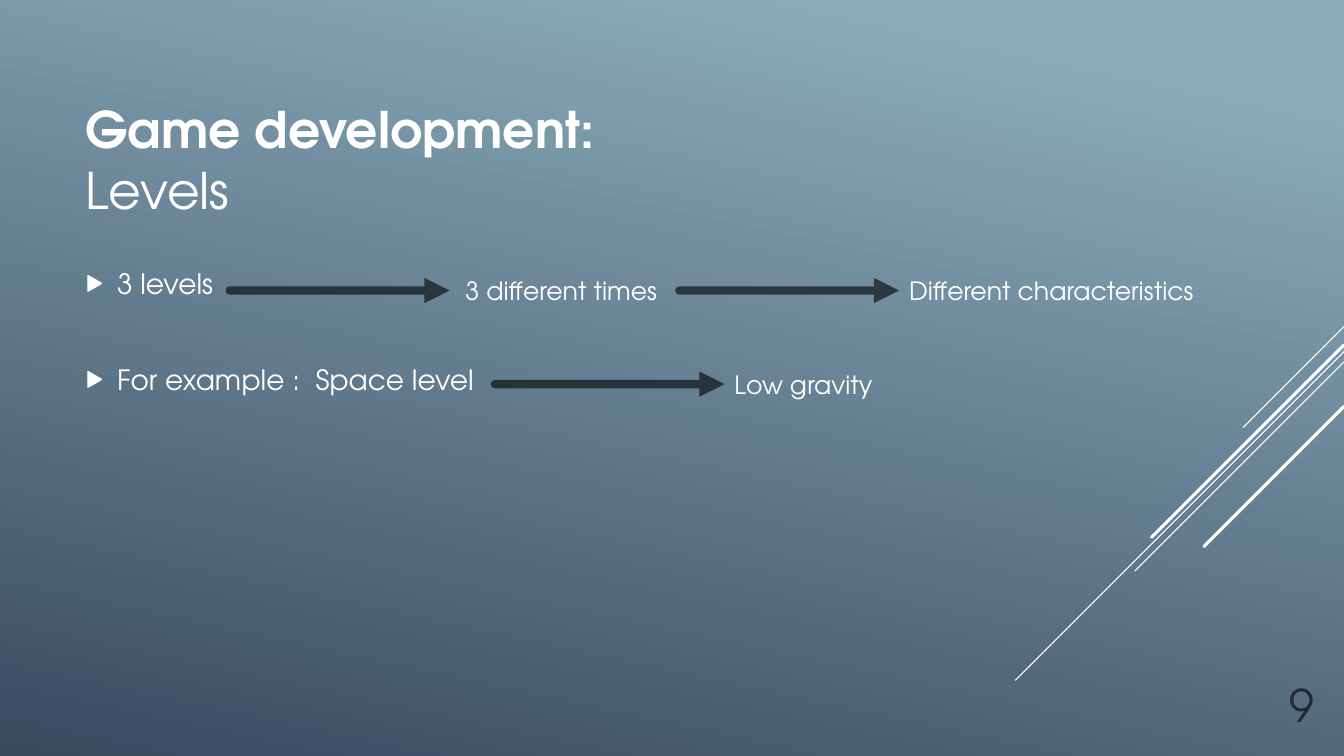
from dataclasses import dataclass

from lxml.etree import SubElement
from pptx import Presentation
from pptx.dml.color import RGBColor
from pptx.enum.shapes import MSO_CONNECTOR as Connector
from pptx.enum.text import MSO_ANCHOR as Anchor, PP_ALIGN as Align
from pptx.oxml.ns import qn
from pptx.util import Cm, Pt


@dataclass(frozen=True)
class Theme:
    font: str = "TeX Gyre Adventor"
    light: str = "FFFFFF"
    dark: str = "222A35"
    arrow: str = "000000"
    sky: str = "8AACBB"
    dusk: str = "394A61"
    title_size: int = 36
    number_size: int = 32
    body_size: int = 20
    label_size: int = 18


class SlideBuilder:
    def __init__(self, page, theme):
        self.page = page
        self.theme = theme

    def background(self):
        fill = self.page.background.fill
        fill.gradient()
        fill.gradient_angle = 258
        stops = zip(fill.gradient_stops, (0.1, 1), (self.theme.sky, self.theme.dusk))
        for stop, position, color in stops:
            stop.position = position
            stop.color.rgb = RGBColor.from_string(color)

    def line(self, start, end, color, width):
        connector = self.page.shapes.add_connector(
            Connector.STRAIGHT, *(Cm(value) for value in (*start, *end)))
        connector.line.color.rgb = RGBColor.from_string(color)
        connector.line.width = Pt(width)
        properties = connector._element.spPr
        SubElement(properties, qn("a:effectLst"))
        outline = properties.find(qn("a:ln"))
        outline.set("cap", "rnd")
        SubElement(outline, qn("a:round"))
        return outline

    def arrow(self, left, middle, length):
        outline = self.line((left, middle), (left + length, middle), self.theme.arrow, 6)
        color = outline.find(qn("a:solidFill")).find(qn("a:srgbClr"))
        SubElement(color, qn("a:alpha"), val="60000")
        SubElement(outline, qn("a:tailEnd"), type="triangle")

    def box(self, left, top, width, height, anchor=Anchor.TOP):
        box = self.page.shapes.add_textbox(Cm(left), Cm(top), Cm(width), Cm(height))
        frame = box.text_frame
        frame.word_wrap = True
        frame.vertical_anchor = anchor
        return frame

    def span(self, para, text, size, color=None, bold=False):
        span = para.add_run()
        span.text = text
        span.font.name = self.theme.font
        span.font.size = Pt(size)
        span.font.bold = bold
        span.font.color.rgb = RGBColor.from_string(color or self.theme.light)

    def title(self, heading, topic):
        para = self.box(1.91, 1.91, 23.7, 4.19, Anchor.MIDDLE).paragraphs[0]
        self.span(para, heading, self.theme.title_size, bold=True)
        para.add_line_break()
        self.span(para, topic, self.theme.title_size)

    def bullets(self, items):
        frame = self.box(1.91, 6.6, 23.7, 10.03)
        for index, item in enumerate(items):
            para = frame.add_paragraph() if index else frame.paragraphs[0]
            properties = para._p.get_or_add_pPr()
            properties.set("marL", str(Cm(0.79)))
            properties.set("indent", str(Cm(-0.79)))
            color = SubElement(properties, qn("a:buClr"))
            SubElement(color, qn("a:srgbClr"), val=self.theme.light)
            SubElement(properties, qn("a:buSzPct"), val="80000")
            SubElement(properties, qn("a:buFont"), typeface=self.theme.font)
            SubElement(properties, qn("a:buChar"), char="▶")
            if index:
                para.space_before = Pt(44.5)
            self.span(para, item, self.theme.body_size)

    def label(self, text, left, middle, width):
        para = self.box(left, middle - 0.51, width, 1.02).paragraphs[0]
        self.span(para, text, self.theme.label_size)

    def number(self, text):
        para = self.box(30.2, 16.71, 3.18, 1.85, Anchor.BOTTOM).paragraphs[0]
        para.alignment = Align.RIGHT
        self.span(para, text, self.theme.number_size, self.theme.dark)


def main():
    deck = Presentation()
    deck.slide_width, deck.slide_height = Cm(33.87), Cm(19.05)
    theme = Theme()
    builder = SlideBuilder(deck.slides.add_slide(deck.slide_layouts[6]), theme)
    builder.background()

    right_edge = 33.87
    diagonals = [(8.23, 2.54, 0.75), (8.86, 8.28, 0.75), (9.12, 5.27, 0.75),
                 (8.69, 4.85, 2.25), (10.24, 3.53, 2.25)]
    for top, run, width in diagonals:
        builder.line((right_edge, top), (right_edge - run, top + run), theme.light, width)

    builder.title("Game development:", "Levels")
    builder.bullets(["3 levels", "For example :  Space level"])
    builder.number("9")

    levels_row, example_row = 7.32, 9.68
    steps = [
        (5.79, levels_row, 5.54, "3 different times", 11.48, 7.62),
        (17.12, levels_row, 5.54, "Different characteristics", 22.66, 10.49),
        (12.47, example_row, 5.79, "Low gravity", 18.26, 7.62),
    ]
    for arrow_left, middle, length, text, label_left, label_width in steps:
        builder.arrow(arrow_left, middle, length)
        builder.label(text, label_left, middle, label_width)

    deck.save("out.pptx")


if __name__ == "__main__":
    main()
